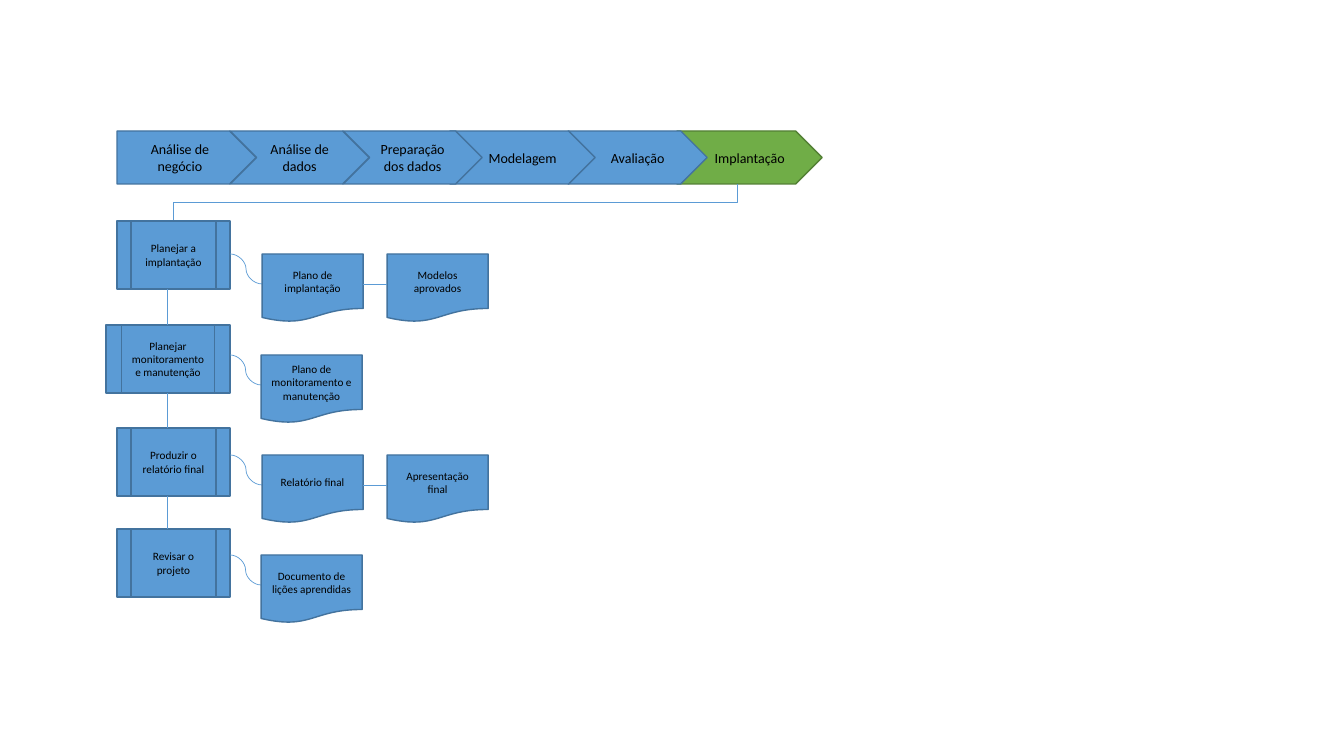
from typing import NamedTuple

from lxml import etree
from pptx import Presentation
from pptx.dml.color import RGBColor
from pptx.enum.shapes import MSO_CONNECTOR, MSO_SHAPE
from pptx.enum.text import MSO_ANCHOR, PP_ALIGN
from pptx.oxml.ns import qn
from pptx.util import Emu, Inches, Pt

PENTAGON = MSO_SHAPE.PENTAGON
CHEVRON = MSO_SHAPE.CHEVRON
PROCESS = MSO_SHAPE.FLOWCHART_PREDEFINED_PROCESS
DOCUMENT = MSO_SHAPE.FLOWCHART_DOCUMENT
STRAIGHT = MSO_CONNECTOR.STRAIGHT
ELBOW = MSO_CONNECTOR.ELBOW
CURVE = MSO_CONNECTOR.CURVE
MIDDLE = MSO_ANCHOR.MIDDLE
CENTER = PP_ALIGN.CENTER

BLUE = RGBColor(0x5B, 0x9B, 0xD5)
DARK_BLUE = RGBColor(0x43, 0x73, 0x9E)
GREEN = RGBColor(0x70, 0xAD, 0x47)
DARK_GREEN = RGBColor(0x53, 0x80, 0x35)
BLACK = RGBColor(0, 0, 0)

FONT = "Calibri"
PIXELS_PER_INCH = 100.8
PHASE_TOP, PHASE_HEIGHT = 131, 53
TASK_RIGHT, TASK_HEIGHT = 230, 68
DOCUMENT_WIDTH, DOCUMENT_HEIGHT = 101, 68
SECOND_DOCUMENT_LEFT = 387
LINK_DROP = 30
TASK_AXIS = 167


class Phase(NamedTuple):
    label: str
    left: int
    width: int = 139
    geometry: MSO_SHAPE = CHEVRON
    fill: RGBColor = BLUE
    outline: RGBColor = DARK_BLUE


class Task(NamedTuple):
    label: str
    left: int
    top: int
    document_left: int
    document_top: int
    documents: tuple[str, ...]


PHASES = [
    Phase("Análise de negócio", 117, geometry=PENTAGON),
    Phase("Análise de dados", 230),
    Phase("Preparação dos dados", 343),
    Phase("Modelagem", 450, 145),
    Phase("Avaliação", 568),
    Phase("Implantação", 677, 145, fill=GREEN, outline=DARK_GREEN),
]
TASKS = [
    Task("Planejar a implantação", 117, 221, 262, 254,
         ("Plano de implantação", "Modelos aprovados")),
    Task("Planejar monitoramento e manutenção", 106, 325, 261, 355,
         ("Plano de monitoramento e manutenção",)),
    Task("Produzir o relatório final", 117, 428, 262, 455,
         ("Relatório final", "Apresentação final")),
    Task("Revisar o projeto", 117, 529, 261, 555,
         ("Documento de lições aprendidas",)),
]


def px(pixels: float) -> Emu:
    return Inches(pixels / PIXELS_PER_INCH)


def add_box(geometry: MSO_SHAPE, label: str, left: int, top: int, width: int,
            height: int, size: int = 8, fill: RGBColor = BLUE,
            outline: RGBColor = DARK_BLUE) -> None:
    box = slide.shapes.add_shape(geometry, px(left), px(top), px(width), px(height))
    box.shadow.inherit = False
    box.fill.solid()
    box.fill.fore_color.rgb = fill
    box.line.color.rgb = outline
    box.line.width = Pt(1)
    frame = box.text_frame
    frame.word_wrap = True
    frame.vertical_anchor = MIDDLE
    frame.text = label
    paragraph = frame.paragraphs[0]
    paragraph.alignment = CENTER
    paragraph.font.name = FONT
    paragraph.font.size = Pt(size)
    paragraph.font.color.rgb = BLACK


def add_link(kind: MSO_CONNECTOR, x1: float, y1: float, x2: float, y2: float,
             quarter_turn: bool = False) -> None:
    link = slide.shapes.add_connector(kind, px(x1), px(y1), px(x2), px(y2))
    link.line.color.rgb = BLUE
    link.line.width = Pt(0.5)
    properties = link._element.spPr
    etree.SubElement(properties, qn("a:effectLst"))
    if quarter_turn:
        properties.find(qn("a:xfrm")).set("rot", "5400000")


def add_vertical_elbow(x1: int, y1: int, x2: int, y2: int) -> None:
    center_x, center_y = (x1 + x2) / 2, (y1 + y2) / 2
    half_drop, half_span = (y2 - y1) / 2, (x1 - x2) / 2
    add_link(ELBOW, center_x - half_drop, center_y - half_span,
             center_x + half_drop, center_y + half_span, quarter_turn=True)


def add_phase(phase: Phase) -> None:
    add_box(phase.geometry, phase.label, phase.left, PHASE_TOP, phase.width,
            PHASE_HEIGHT, 10, phase.fill, phase.outline)


def add_task(task: Task) -> None:
    add_box(PROCESS, task.label, task.left, task.top,
            TASK_RIGHT - task.left, TASK_HEIGHT)
    link_bottom = task.document_top + LINK_DROP
    add_link(CURVE, TASK_RIGHT, task.document_top, task.document_left, link_bottom)
    for label, left in zip(task.documents, (task.document_left, SECOND_DOCUMENT_LEFT)):
        add_box(DOCUMENT, label, left, task.document_top,
                DOCUMENT_WIDTH, DOCUMENT_HEIGHT)
    if len(task.documents) > 1:
        add_link(STRAIGHT, task.document_left + DOCUMENT_WIDTH, link_bottom,
                 SECOND_DOCUMENT_LEFT, link_bottom)


presentation = Presentation()
presentation.slide_width = Inches(13.33)
presentation.slide_height = Inches(7.5)
slide = presentation.slides.add_slide(presentation.slide_layouts[6])

first_phase, *later_phases = PHASES
for phase in [first_phase, *reversed(later_phases)]:
    add_phase(phase)
add_vertical_elbow(737, PHASE_TOP + PHASE_HEIGHT, 173, TASKS[0].top)

for task in TASKS:
    add_task(task)
for upper, lower in zip(TASKS, TASKS[1:]):
    add_link(STRAIGHT, TASK_AXIS, upper.top + TASK_HEIGHT, TASK_AXIS, lower.top)

presentation.save("out.pptx")
